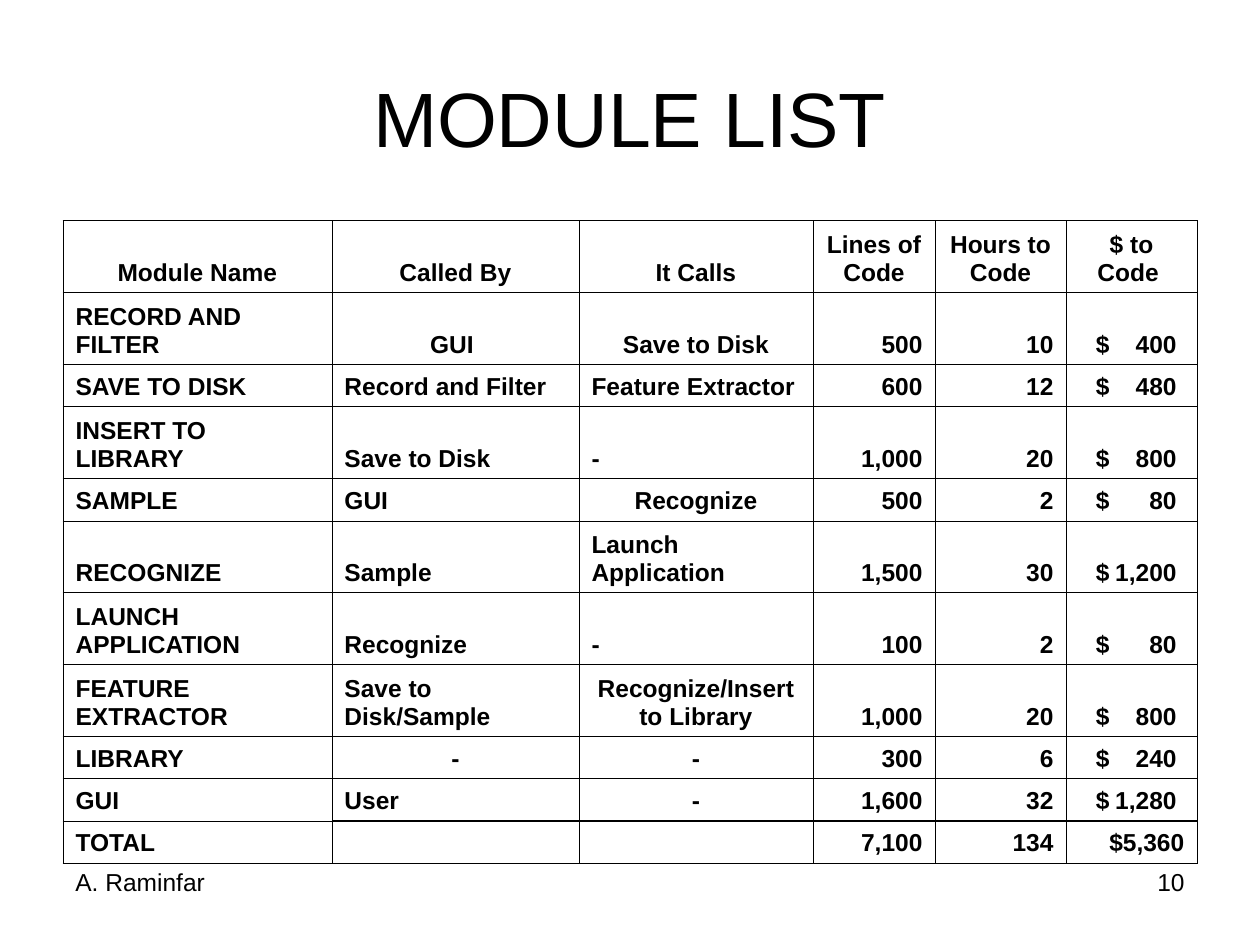
from dataclasses import dataclass

from lxml import etree
from pptx import Presentation
from pptx import util as u
from pptx.dml.color import RGBColor
from pptx.enum import text
from pptx.oxml import ns


@dataclass(frozen=True)
class Theme:
    font: str = "Arial"
    ink: str = "000000"
    paper: str = "FFFFFF"
    title_size: float = 44
    body_size: float = 14
    thin_line: float = 0.45
    total_line: float = 0.96


ALIGNMENTS = {
    "l": text.PP_ALIGN.LEFT,
    "c": text.PP_ALIGN.CENTER,
    "r": text.PP_ALIGN.RIGHT,
    "$": text.PP_ALIGN.LEFT,
}
COLUMN_WIDTHS = [5.42, 4.98, 4.72, 2.46, 2.64, 2.64]
TALL, SHORT = 1.45, 0.85
MODULES = [
    (TALL, "cccccc", ["Module Name", "Called By", "It Calls", "Lines of Code", "Hours to Code", "$ to Code "]),
    (TALL, "lccrr$", ["RECORD AND FILTER", "GUI ", "Save to Disk", "500", "10", "$\t400"]),
    (SHORT, "lllrr$", ["SAVE TO DISK", "Record and Filter", "Feature Extractor", "600", "12", "$\t480"]),
    (TALL, "lllrr$", ["INSERT TO LIBRARY", "Save to Disk", "-", "1,000", "20", "$\t800"]),
    (SHORT, "llcrr$", ["SAMPLE", "GUI", "Recognize", "500", "2", "$\t80"]),
    (TALL, "lllrr$", ["RECOGNIZE", "Sample", "Launch Application", "1,500", "30", "$\t1,200"]),
    (TALL, "lllrr$", ["LAUNCH APPLICATION", "Recognize", "-", "100", "2", "$\t80"]),
    (TALL, "llcrr$", ["FEATURE EXTRACTOR", "Save to Disk/Sample", "Recognize/Insert to Library", "1,000", "20", "$\t800"]),
    (SHORT, "lccrr$", ["LIBRARY", "-", "-", "300", "6", "$\t240"]),
    (SHORT, "llcrr$", ["GUI", "User", "-", "1,600", "32", "$\t1,280"]),
    (SHORT, "lllrrr", ["TOTAL", "", "", "7,100", "134", "$5,360"]),
]


class SlideBuilder:
    def __init__(self, presentation, theme):
        self.theme = theme
        self.slide = presentation.slides.add_slide(presentation.slide_layouts[5])
        self.slide.background.fill.solid()
        self.slide.background.fill.fore_color.rgb = RGBColor.from_string(theme.paper)

    def format_paragraph(self, paragraph, size, alignment, bold=False):
        paragraph.alignment = ALIGNMENTS[alignment]
        for run in paragraph.runs:
            run.font.name = self.theme.font
            run.font.size = u.Pt(size)
            run.font.bold = bold
            run.font.color.rgb = RGBColor.from_string(self.theme.ink)

    def title(self, words, left, top, width, height):
        shape = self.slide.shapes.title
        shape.left, shape.top, shape.width, shape.height = map(u.Cm, (left, top, width, height))
        frame = shape.text_frame
        frame.text = words
        frame.vertical_anchor = text.MSO_ANCHOR.MIDDLE
        self.format_paragraph(frame.paragraphs[0], self.theme.title_size, "c")

    def label(self, words, left, top, width, height, alignment):
        frame = self.slide.shapes.add_textbox(*map(u.Cm, (left, top, width, height))).text_frame
        frame.word_wrap = True
        frame.text = words
        self.format_paragraph(frame.paragraphs[0], self.theme.body_size, alignment)

    def borders(self, cell, top, bottom):
        thin = self.theme.thin_line
        properties = cell.fill._xPr
        sides = {"lnL": thin, "lnR": thin, "lnT": top, "lnB": bottom}
        for index, (side, weight) in enumerate(sides.items()):
            line = etree.Element(ns.qn(f"a:{side}"), w=str(u.Pt(weight)))
            fill = etree.SubElement(line, ns.qn("a:solidFill"))
            etree.SubElement(fill, ns.qn("a:srgbClr"), val=self.theme.ink)
            properties.insert(index, line)

    def dollar_tab(self, cell):
        cell.margin_left = u.Cm(0.6)
        tabs = etree.SubElement(cell.text_frame.paragraphs[0]._p.get_or_add_pPr(), ns.qn("a:tabLst"))
        etree.SubElement(tabs, ns.qn("a:tab"), pos=str(u.Cm(1.63)), algn="r")

    def cell(self, cell, words, alignment):
        cell.fill.background()
        cell.vertical_anchor = text.MSO_ANCHOR.BOTTOM
        cell.text_frame.text = words
        paragraph = cell.text_frame.paragraphs[0]
        if alignment == "$":
            self.dollar_tab(cell)
        self.format_paragraph(paragraph, self.theme.body_size, alignment, bold=True)
        if not words:
            etree.SubElement(paragraph._p, ns.qn("a:endParaRPr"), sz=str(self.theme.body_size * 100))

    def table(self, rows, widths, left, top):
        height = sum(row[0] for row in rows)
        frame = self.slide.shapes.add_table(
            len(rows), len(widths), *map(u.Cm, (left, top, sum(widths), height))
        )
        table = frame.table
        table.first_row = table.horz_banding = False
        for column, width in zip(table.columns, widths):
            column.width = u.Cm(width)
        last = len(rows) - 1
        for row_index, (row_height, alignments, values) in enumerate(rows):
            table.rows[row_index].height = u.Cm(row_height)
            for column_index, (words, alignment) in enumerate(zip(values, alignments)):
                cell = table.cell(row_index, column_index)
                self.cell(cell, words, alignment)
                heavy = self.theme.total_line if column_index else self.theme.thin_line
                self.borders(
                    cell,
                    heavy if row_index == last else self.theme.thin_line,
                    heavy if row_index == last - 1 else self.theme.thin_line,
                )


def main():
    presentation = Presentation()
    presentation.slide_width, presentation.slide_height = u.Cm(25.4), u.Cm(19.05)
    builder = SlideBuilder(presentation, Theme())
    builder.title("MODULE LIST", 1.27, 0.76, 22.86, 3.18)
    builder.table(MODULES, COLUMN_WIDTHS, 1.27, 4.45)
    builder.label("10", 18.2, 17.35, 5.93, 1.32, "r")
    builder.label("A. Raminfar", 1.27, 17.35, 5.93, 1.32, "l")
    presentation.save("out.pptx")


if __name__ == "__main__":
    main()
